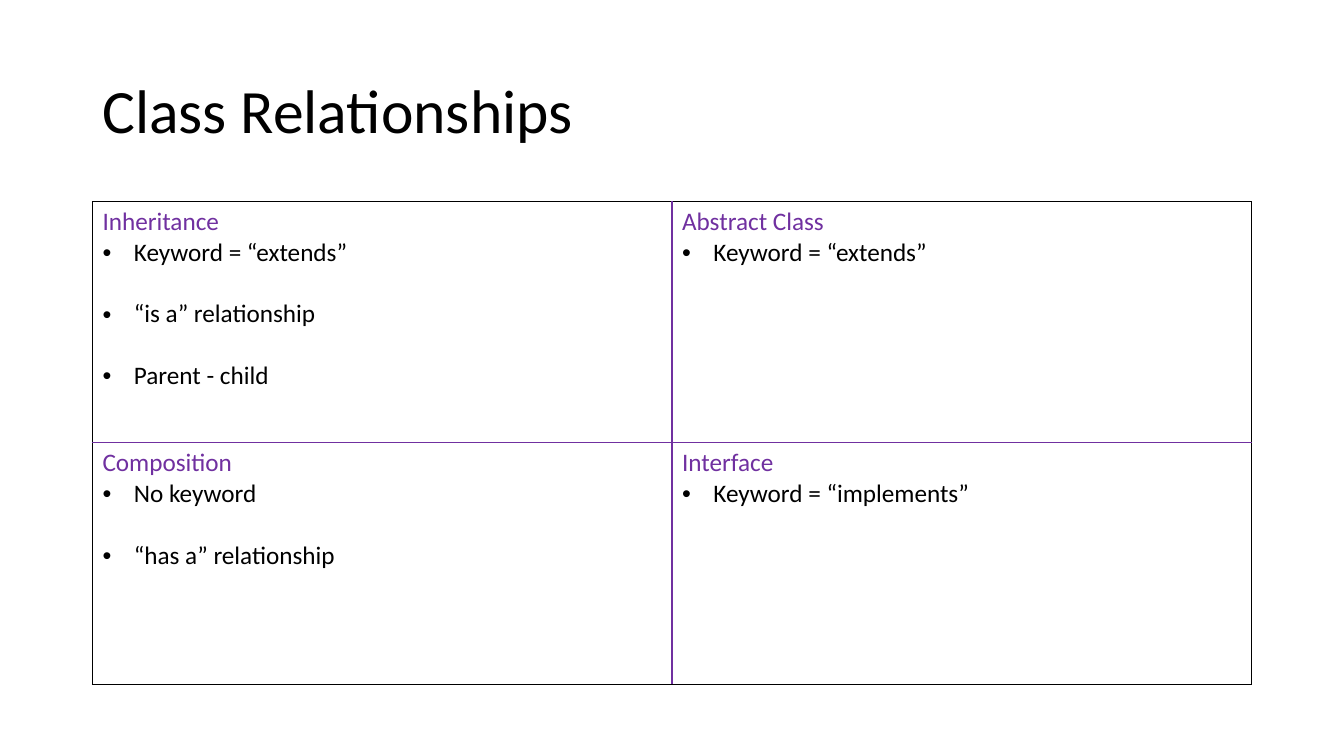
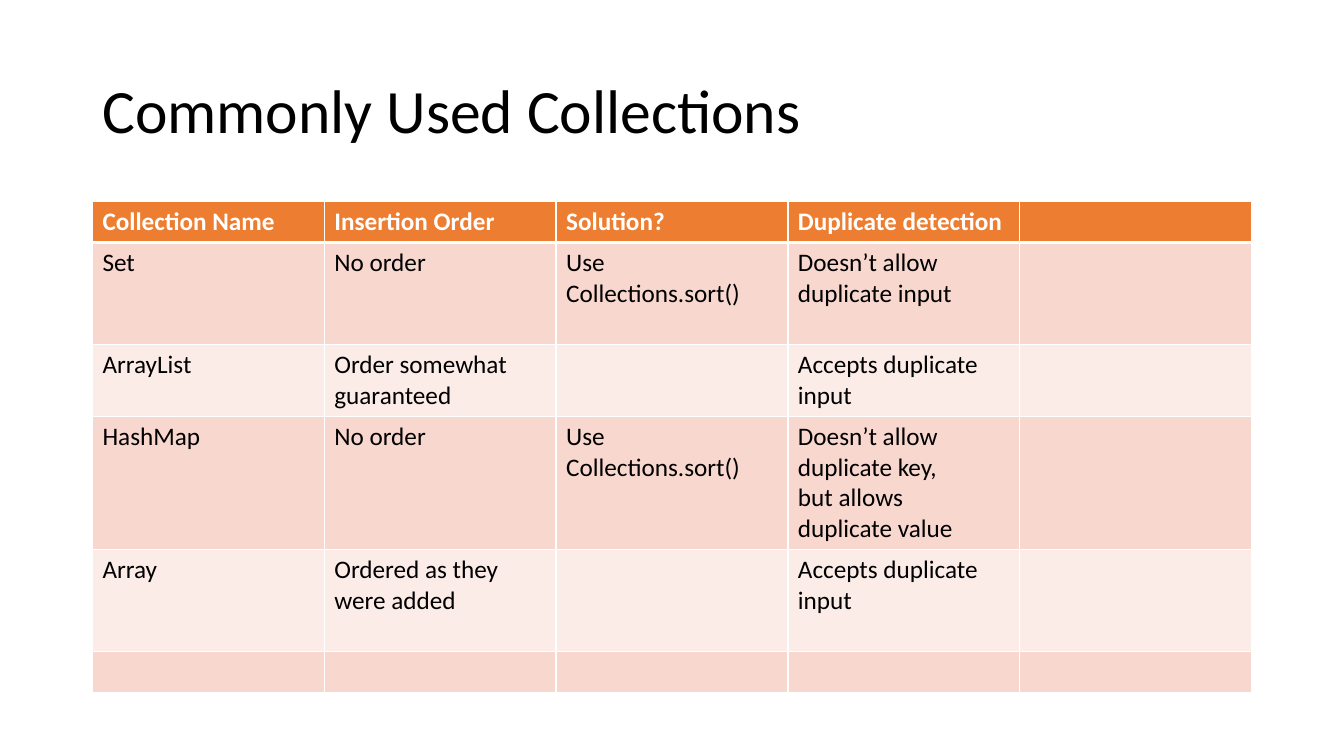
import pptx
import pptx.util
import pptx.dml.color
import pptx.enum.text
import pptx.oxml
import pptx.oxml.ns
from pptx.util import Cm, Pt
from pptx.dml.color import RGBColor

# Content
RELATIONSHIPS_TITLE = "Class Relationships"
RELATIONSHIPS = [
    [("Inheritance", ["Keyword = “extends”", "“is a” relationship", "Parent - child"]),
     ("Abstract Class", ["Keyword = “extends”"])],
    [("Composition", ["No keyword", "“has a” relationship"]),
     ("Interface", ["Keyword = “implements”"])],
]

COLLECTIONS_TITLE = "Commonly Used Collections"
COLLECTIONS = [
    ("Collection Name", "Insertion Order", "Solution?", "Duplicate detection", ""),
    ("Set", "No order", "Use Collections.sort()", "Doesn’t allow duplicate input", ""),
    ("ArrayList", "Order somewhat guaranteed", "", "Accepts duplicate input", ""),
    ("HashMap", "No order", "Use Collections.sort()",
     "Doesn’t allow duplicate key,\nbut allows\nduplicate value", ""),
    ("Array", "Ordered as they were added", "", "Accepts duplicate input", ""),
    ("", "", "", "", ""),
]
COLLECTION_ROW_LINES = [1, 3, 2, 4, 3, 1]

# Shared look
BLACK = RGBColor(0x00, 0x00, 0x00)
WHITE = RGBColor(0xFF, 0xFF, 0xFF)
PURPLE = RGBColor(0x70, 0x30, 0xA0)
ORANGE = RGBColor(0xED, 0x7D, 0x31)
PEACH = RGBColor(0xF8, 0xD7, 0xCE)
PALE_PEACH = RGBColor(0xFC, 0xEC, 0xE8)

LEFT, WIDTH = Cm(2.33), Cm(29.21)
TITLE_TOP, TITLE_HEIGHT = Cm(1.01), Cm(3.68)
TABLE_TOP = Cm(5.08)
QUADRANT_HEIGHT = Cm(6.08)
LINE_HEIGHT, CELL_PADDING = Cm(0.775), Cm(0.254)
BULLET_INDENT = Cm(0.79)
BULLET_GAP = Pt(22)

TITLE_FONT = {"name": "Calibri", "size": Pt(44), "bold": False}
BODY_FONT = {"name": "Calibri", "size": Pt(18), "bold": False}
HEADER_FONT = {**BODY_FONT, "bold": True}

deck = pptx.Presentation()
deck.slide_width, deck.slide_height = Cm(33.87), Cm(19.05)


def write(paragraph, text, formats, color):
    run = paragraph.add_run()
    run.text = text
    for attribute, value in formats.items():
        setattr(run.font, attribute, value)
    run.font.color.rgb = color


def add_titled_slide(title):
    slide = deck.slides.add_slide(deck.slide_layouts[6])
    frame = slide.shapes.add_textbox(LEFT, TITLE_TOP, WIDTH, TITLE_HEIGHT).text_frame
    frame.word_wrap = True
    frame.vertical_anchor = pptx.enum.text.MSO_ANCHOR.MIDDLE
    frame.paragraphs[0].line_spacing = 0.9
    write(frame.paragraphs[0], title, TITLE_FONT, BLACK)
    return slide


def add_plain_table(slide, row_heights, column_count):
    table = slide.shapes.add_table(len(row_heights), column_count, LEFT, TABLE_TOP,
                                   WIDTH, sum(row_heights)).table
    table.first_row = table.horz_banding = False
    for column in table.columns:
        column.width = WIDTH // column_count
    for row, height in zip(table.rows, row_heights):
        row.height = height
    return table


def set_borders(cell, borders):
    properties = cell._tc.get_or_add_tcPr()
    for side in "LRTB":
        color, points = borders[side]
        properties.append(pptx.oxml.parse_xml(
            f'<a:ln{side} {pptx.oxml.ns.nsdecls("a")} w="{Pt(points)}">'
            f'<a:solidFill><a:srgbClr val="{color}"/></a:solidFill></a:ln{side}>'))


def make_bullet(paragraph):
    properties = paragraph._p.get_or_add_pPr()
    properties.set("marL", str(BULLET_INDENT))
    properties.set("indent", str(-BULLET_INDENT))
    for xml in ('<a:buFont {} typeface="Arial"/>', '<a:buChar {} char="•"/>'):
        properties.append(pptx.oxml.parse_xml(xml.format(pptx.oxml.ns.nsdecls("a"))))


# Class relationships: black outer frame, purple inner cross
quadrants = add_plain_table(add_titled_slide(RELATIONSHIPS_TITLE), [QUADRANT_HEIGHT] * 2, 2)
for r, quadrant_row in enumerate(RELATIONSHIPS):
    for c, (heading, points) in enumerate(quadrant_row):
        cell = quadrants.cell(r, c)
        outer_sides = {"LR"[c], "TB"[r]}
        set_borders(cell, {side: (BLACK if side in outer_sides else PURPLE, 1)
                           for side in "LRTB"})
        cell.fill.background()
        write(cell.text_frame.paragraphs[0], heading, BODY_FONT, PURPLE)
        for i, point in enumerate(points):
            paragraph = cell.text_frame.add_paragraph()
            paragraph.space_before = BULLET_GAP if i else Pt(0)
            make_bullet(paragraph)
            write(paragraph, point, BODY_FONT, BLACK)

# Collections: orange header over banded rows
heights = [int(lines * LINE_HEIGHT + CELL_PADDING) for lines in COLLECTION_ROW_LINES]
collections_table = add_plain_table(add_titled_slide(COLLECTIONS_TITLE), heights,
                                    len(COLLECTIONS[0]))
for r, entries in enumerate(COLLECTIONS):
    if r == 0:
        fill, formats, color = ORANGE, HEADER_FONT, WHITE
    else:
        fill, formats, color = (PEACH if r % 2 else PALE_PEACH), BODY_FONT, BLACK
    borders = {"L": (WHITE, 1), "R": (WHITE, 1),
               "T": (WHITE, 3 if r == 1 else 1), "B": (WHITE, 3 if r == 0 else 1)}
    for c, entry in enumerate(entries):
        cell = collections_table.cell(r, c)
        set_borders(cell, borders)
        cell.fill.solid()
        cell.fill.fore_color.rgb = fill
        for i, line in enumerate(entry.splitlines()):
            frame = cell.text_frame
            paragraph = frame.add_paragraph() if i else frame.paragraphs[0]
            write(paragraph, line, formats, color)

deck.save("out.pptx")
